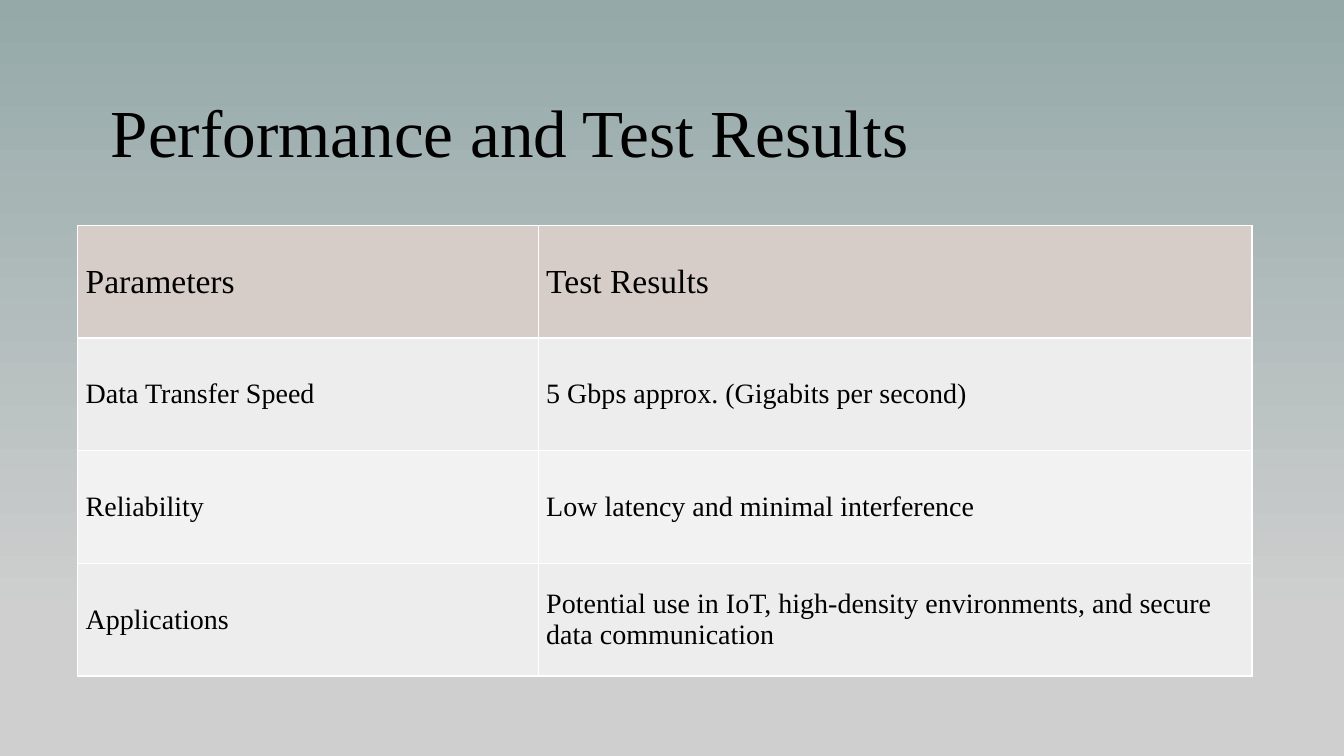
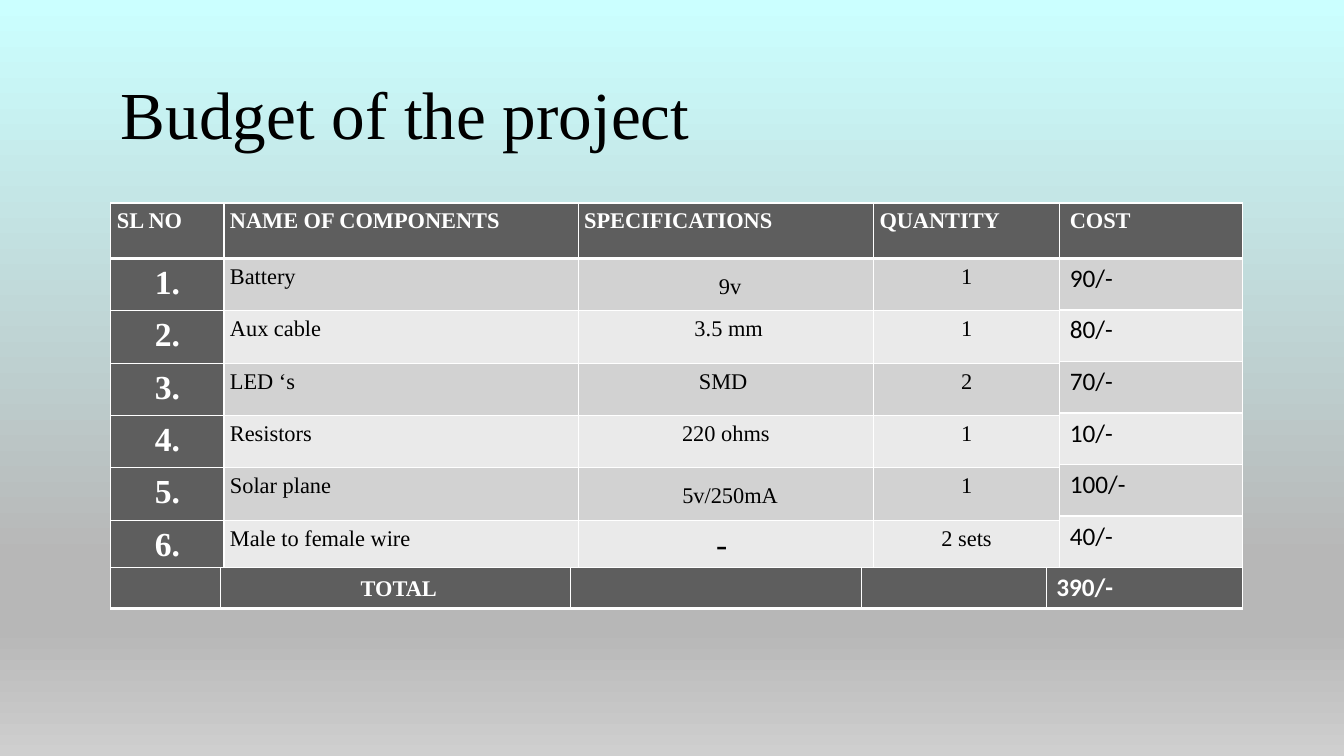
"""Builds the test results slide and the project budget slide."""
import pptx
import pptx.dml.color
import pptx.enum.text
import pptx.oxml
import pptx.oxml.ns
import pptx.util

Pt = pptx.util.Pt
LEFT = pptx.enum.text.PP_ALIGN.LEFT
CENTER = pptx.enum.text.PP_ALIGN.CENTER
TOP = pptx.enum.text.MSO_ANCHOR.TOP
MIDDLE = pptx.enum.text.MSO_ANCHOR.MIDDLE
SERIF, SANS = "Times New Roman", "Calibri"
BLACK, WHITE = "000000", "FFFFFF"

THEME = {
    "border": WHITE,
    "border_width": 1,
    "heavy_border_width": 3,
    "results_header": "D7CDC8",
    "results_bands": ("EDEDED", "F3F2F2"),
    "budget_dark": "5E5E5E",
    "budget_bands": ("D2D2D2", "EAEAEA"),
    "text": {
        "title": (BLACK, {"name": SERIF, "size": Pt(48), "bold": False}),
        "results_header": (BLACK, {"name": SERIF, "size": Pt(24), "bold": False}),
        "results_body": (BLACK, {"name": SERIF, "size": Pt(20), "bold": False}),
        "header": (WHITE, {"name": SERIF, "size": Pt(16), "bold": True}),
        "number": (WHITE, {"name": SERIF, "size": Pt(24), "bold": True}),
        "body": (BLACK, {"name": SERIF, "size": Pt(16), "bold": False}),
        "large": (BLACK, {"name": SERIF, "size": Pt(24), "bold": False}),
        "cost": (BLACK, {"name": SANS, "size": Pt(18), "bold": False}),
        "total": (WHITE, {"name": SANS, "size": Pt(18), "bold": True}),
    },
}


def write_runs(paragraph, runs, alignment=LEFT):
    """Write (text, style name) runs into a paragraph."""
    paragraph.alignment = alignment
    for text, style in runs:
        run = paragraph.add_run()
        run.text = text
        color, font_values = THEME["text"][style]
        for name, value in font_values.items():
            setattr(run.font, name, value)
        run.font.color.rgb = pptx.dml.color.RGBColor.from_string(color)


def add_grid(slide, left, top, widths, heights, rows, insets, anchor=TOP, heavy_row=None):
    """Add a table whose cells are (runs, alignment, fill) tuples."""
    table = slide.shapes.add_table(
        len(heights), len(widths), Pt(left), Pt(top), Pt(sum(widths)), Pt(sum(heights))
    ).table
    table.first_row = table.horz_banding = False
    for column, width in zip(table.columns, widths):
        column.width = Pt(width)
    for row_index, (row, height) in enumerate(zip(rows, heights)):
        table.rows[row_index].height = Pt(height)
        for column_index, (runs, alignment, fill) in enumerate(row):
            cell = table.cell(row_index, column_index)
            horizontal, vertical = insets
            cell_values = {
                "margin_left": Pt(horizontal),
                "margin_right": Pt(horizontal),
                "margin_top": Pt(vertical),
                "margin_bottom": Pt(vertical),
                "vertical_anchor": anchor,
            }
            for name, value in cell_values.items():
                setattr(cell, name, value)
            write_runs(cell.text_frame.paragraphs[0], runs, alignment)
            properties = cell._tc.get_or_add_tcPr()
            for side in "LRTB":
                heavy = side == "B" and row_index == heavy_row
                width = THEME["heavy_border_width" if heavy else "border_width"]
                properties.append(pptx.oxml.parse_xml(
                    f'<a:ln{side} {pptx.oxml.ns.nsdecls("a")} w="{Pt(width)}"><a:solidFill>'
                    f'<a:srgbClr val="{THEME["border"]}"/></a:solidFill></a:ln{side}>'
                ))
            cell.fill.solid()
            cell.fill.fore_color.rgb = pptx.dml.color.RGBColor.from_string(fill)


presentation = pptx.Presentation()
presentation.slide_width, presentation.slide_height = Pt(960), Pt(540)

slide_plans = [
    ("Performance and Test Results", (72, 57, 822, 104), [(0, "95A9A9"), (82, "CFCFCF")]),
    ("Budget of the project", (79.2, 44.6, 825, 65.5),
     [(0, "CBFFFF"), (74, "B7B7B7"), (83, "B7B7B7"), (100, "CFCFCF")]),
]
slides = []
for title, box, stops in slide_plans:
    slide = presentation.slides.add_slide(presentation.slide_layouts[6])
    slides.append(slide)
    fill = slide.background.fill
    fill.gradient()
    gradient = slide.background._cSld.find(".//" + pptx.oxml.ns.qn("a:gradFill"))
    stop_xml = "".join(
        f'<a:gs pos="{position * 1000}"><a:srgbClr val="{color}"/></a:gs>'
        for position, color in stops
    )
    gradient.getparent().replace(gradient, pptx.oxml.parse_xml(
        f'<a:gradFill {pptx.oxml.ns.nsdecls("a")} rotWithShape="1"><a:gsLst>{stop_xml}</a:gsLst>'
        '<a:lin ang="5400000" scaled="0"/></a:gradFill>'
    ))
    text_frame = slide.shapes.add_textbox(*(Pt(length) for length in box)).text_frame
    text_frame.word_wrap = True
    text_frame.margin_top = Pt(7.2)
    write_runs(text_frame.paragraphs[0], [(title, "title")])

results_slide, budget_slide = slides

results = [
    ("Parameters", "Test Results"),
    ("Data Transfer Speed", "5 Gbps approx. (Gigabits per second)"),
    ("Reliability", "Low latency and minimal interference"),
    ("Applications", "Potential use in IoT, high-density environments, and secure data communication"),
]
result_rows = []
for index, texts in enumerate(results):
    style = "results_body" if index else "results_header"
    fill = THEME["results_bands"][(index - 1) % 2] if index else THEME["results_header"]
    result_rows.append([([(text, style)], LEFT, fill) for text in texts])
add_grid(results_slide, 55.4, 161, [329, 510], [80.5] * 4, result_rows, (5.8, 5.8), MIDDLE)

dark = THEME["budget_dark"]
components = [
    ("Battery", [(" ", "large"), ("9v", "body")], "1", "90/-"),
    ("Aux cable", [(" 3.5 mm", "body")], "1", "80/-"),
    ("LED ‘s", [("SMD ", "body")], "2", "70/-"),
    ("Resistors", [("220 ohms", "body")], "1", "10/-"),
    ("Solar plane", [(" ", "large"), ("5v/250mA", "body")], "1", "100/-"),
    ("Male to female wire", [("- ", "large")], "2 sets", "40/-"),
]
headings = ("SL NO", "NAME OF COMPONENTS", "SPECIFICATIONS", "QUANTITY")
component_rows = [[([(heading, "header")], LEFT, dark) for heading in headings]]
cost_rows = [[([("COST", "header")], LEFT, dark)]]
for index, (component, specification, quantity, cost) in enumerate(components):
    band = THEME["budget_bands"][index % 2]
    component_rows.append([
        ([(f"{index + 1}.", "number")], CENTER, dark),
        ([(component, "body")], LEFT, band),
        (specification, CENTER, band),
        ([(quantity, "body")], CENTER, band),
    ])
    cost_rows.append([([(cost, "cost")], LEFT, band)])
total_row = [
    ([], LEFT, dark),
    ([(" ", "total"), ("TOTAL", "header")], CENTER, dark),
    ([], LEFT, dark),
    ([], LEFT, dark),
    ([("390/-", "total")], LEFT, dark),
]
budget_left, budget_top = 79.2, 145
component_widths = [80.8, 253, 211, 133]
budget_heights = [39.6] + [36.8] * len(components)
add_grid(budget_slide, budget_left, budget_top, component_widths, budget_heights,
         component_rows, (4.3, 4.3), heavy_row=0)
add_grid(budget_slide, budget_left + sum(component_widths), budget_top, [130.6], budget_heights,
         cost_rows, (7.2, 3.6), heavy_row=0)
add_grid(budget_slide, budget_left, budget_top + sum(budget_heights),
         [78.6, 250, 207.6, 132, 140.2], [29.3], [total_row], (7.2, 3.6), heavy_row=0)

presentation.save("out.pptx")
